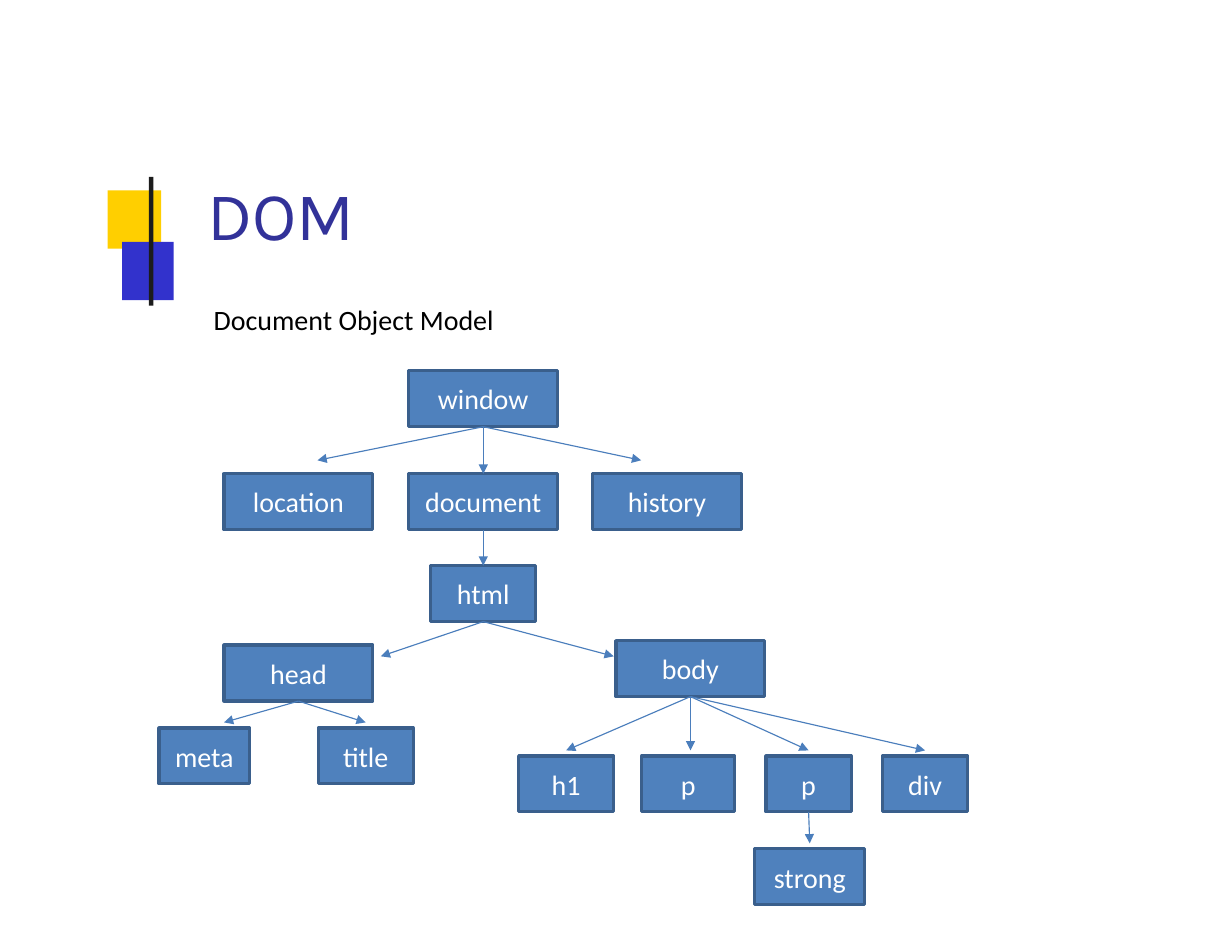
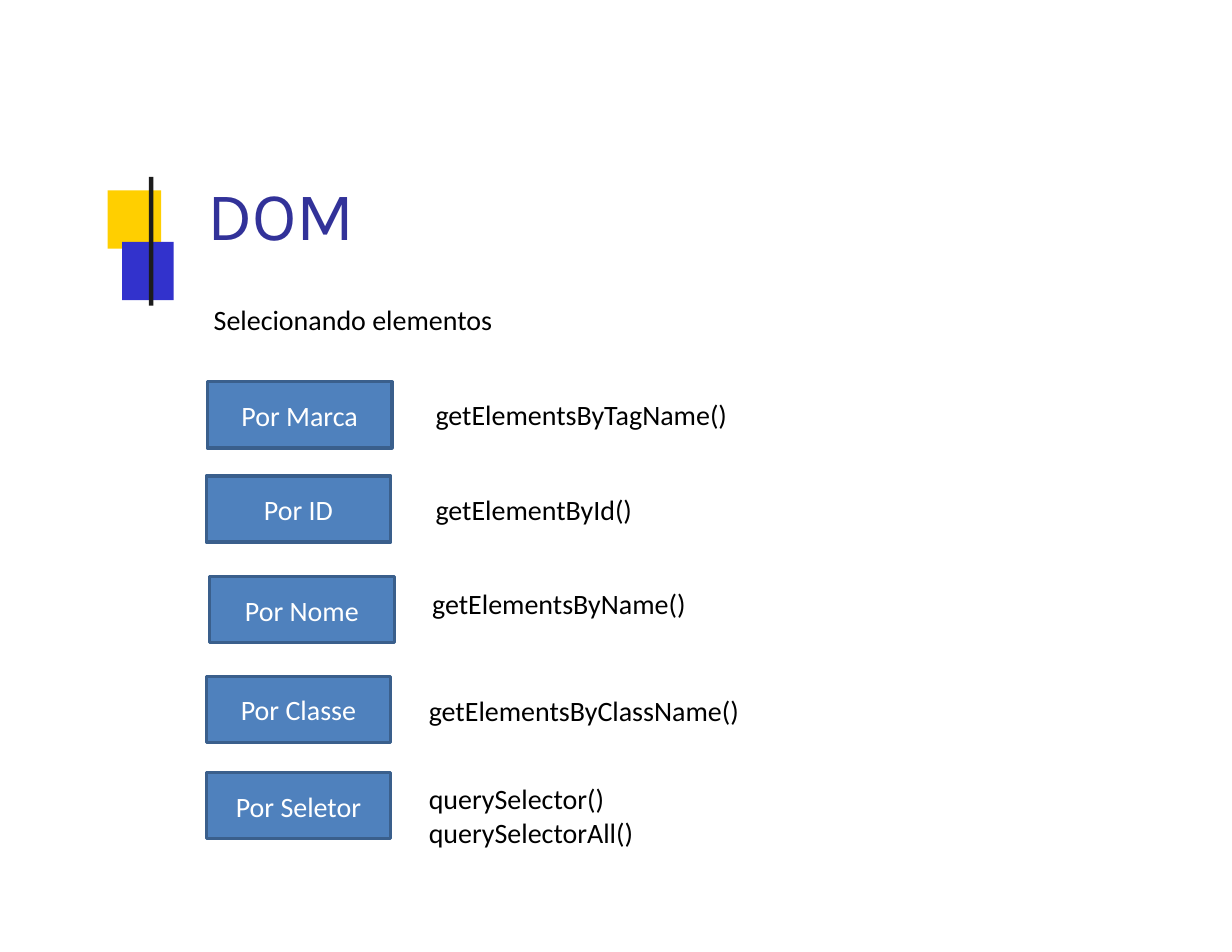
"""Two slides on the DOM: its tree, and the ways to select elements."""
from lxml import etree
from pptx import Presentation, util as u
from pptx.dml.color import RGBColor
from pptx.enum import shapes as kinds, text as tx
from pptx.oxml.ns import qn

COLS, ROWS = 110, 85          # grid of the slide
WIDE, HIGH = u.Inches(11), u.Inches(8.5)

THEME = {
    "gold": "FFCF00", "blue": "3232CC", "ink": "1C1C1C",
    "node": "4F81BD", "edge": "3A5F8C", "arrow": "4B7EBC",
    "head": {"name": "Karla", "size": 44, "color": "323299"},
    "label": {"name": "Calibri", "size": 18, "color": "FFFFFF"},
    "plain": {"name": "Calibri", "size": 18, "color": "000000"},
    "border": 2, "thin": 0.75,
}

# Boxes in grid units: left, top, width, height
EMBLEM = (9.6, 15.8, 5.9, 11.5)
TITLE = (18.5, 15.3, 76, 7.6)
INTRO = (18.1, 26.5, 63.3, 4)
TREE = (14.2, 33.1, 72.2, 47.7)
LIST = (18.4, 34.1, 70.8, 42.3)

# Tree nodes: key, label, centre, top, width, parent, arrow tip from top centre
NEAR, TOUCH = (0, -0.5), (0, 0)
NODES = [
    ("window", "window", 28.95, 0, 13.3, None, None),
    ("location", "location", 12.45, 9.2, 13.3, "window", (1.7, -1.2)),
    ("document", "document", 28.95, 9.2, 13.3, "window", TOUCH),
    ("history", "history", 45.35, 9.2, 13.3, "window", (-2.3, -1.2)),
    ("html", "html", 28.95, 17.4, 9.4, "document", TOUCH),
    ("head", "head", 12.45, 24.5, 13.3, "html", (7.35, 1)),
    ("body", "body", 47.45, 24.1, 13.3, "html", (-6.85, 1.4)),
    ("meta", "meta", 4.05, 31.9, 8.1, "head", (1.75, -0.5)),
    ("title", "title", 18.45, 31.9, 8.5, "head", NEAR),
    ("h1", "h1", 36.35, 34.4, 8.5, "body", NEAR),
    ("p1", "p", 47.25, 34.4, 8.3, "body", (0.2, -0.5)),
    ("p2", "p", 58, 34.4, 7.6, "body", NEAR),
    ("div", "div", 68.4, 34.4, 7.6, "body", NEAR),
    ("strong", "strong", 58.1, 42.7, 9.8, "p2", NEAR),
]
TALL = 5                      # height of a tree node

# Selector rows: label, label left, top, calls left, calls drop, calls width
CALLS = [
    ("Por Marca", 0.1, 0, 19.5, 0.9, 34.2, ["getElementsByTagName()"]),
    ("Por ID", 0, 8.4, 19.5, 1, 34.2, ["getElementById()"]),
    ("Por Nome", 0.3, 17.4, 19.2, 0.4, 34.2, ["getElementsByName()"]),
    ("Por Classe", 0, 26.3, 18.9, 1, 34.2, ["getElementsByClassName()"]),
    ("Por Seletor", 0, 34.9, 18.9, 0.3, 51.9,
     ["querySelector()", "querySelectorAll()"]),
]


def grid(x, y):
    """Turn columns and rows into slide lengths."""
    return round(x * WIDE / COLS), round(y * HIGH / ROWS)


def span(box):
    """Turn a grid box into left, top, width and height."""
    return grid(*box[:2]) + grid(*box[2:])


def rgb(name):
    """Look up a theme colour."""
    return RGBColor.from_string(THEME[name])


def put(item, **vals):
    """Set attributes from format values."""
    for key, val in vals.items():
        setattr(item, key, val)


def write(frame, lines, style, **para):
    """Write one paragraph a line in a theme text style."""
    form = THEME[style]
    frame.text = "\n".join(lines)
    for par in frame.paragraphs:
        put(par, **para)
        for run in par.runs:
            put(run.font, name=form["name"], size=u.Pt(form["size"]))
            run.font.color.rgb = RGBColor.from_string(form["color"])


def block(slide, box, fill, edge=None):
    """Add a flat rectangle, with a border if an edge colour is given."""
    rect = slide.shapes.add_shape(kinds.MSO_SHAPE.RECTANGLE, *span(box))
    rect.shadow.inherit = False
    rect.fill.solid()
    rect.fill.fore_color.rgb = rgb(fill)
    if edge:
        rect.line.color.rgb = rgb(edge)
        rect.line.width = u.Pt(THEME["border"])
    else:
        rect.line.fill.background()
    return rect


def node(slide, box, label):
    """Add a labelled blue box."""
    frame = block(slide, box, "node", "edge").text_frame
    put(frame, word_wrap=True, vertical_anchor=tx.MSO_ANCHOR.MIDDLE)
    write(frame, [label], "label", alignment=tx.PP_ALIGN.CENTER)


def note(slide, box, lines):
    """Add plain text that grows with its lines."""
    frame = slide.shapes.add_textbox(*span(box)).text_frame
    put(frame, word_wrap=True, auto_size=tx.MSO_AUTO_SIZE.SHAPE_TO_FIT_TEXT)
    write(frame, lines, "plain")


def arrow(slide, start, end):
    """Add a thin line with a triangle at its end."""
    line = slide.shapes.add_connector(
        kinds.MSO_CONNECTOR.STRAIGHT, *grid(*start), *grid(*end))
    put(line.line, width=u.Pt(THEME["thin"]))
    line.line.color.rgb = rgb("arrow")
    prop = line.element.spPr
    etree.SubElement(prop.find(qn("a:ln")), qn("a:tailEnd"), type="triangle")
    etree.SubElement(prop, qn("a:effectLst"))


def emblem(slide, layout, box):
    """Draw the two squares and the bar, then move them to the layout."""
    x, y, _, high = box
    parts = [
        block(slide, (x, y + 1.2, 4.8, 5.2), "gold"),
        block(slide, (x + 1.3, y + 5.8, 4.6, 5.2), "blue"),
        block(slide, (x + 3.7, y, 0.4, high), "ink"),
    ]
    for part in parts:
        layout.shapes.element.append(part.element)


def opening(slide, intro):
    """Fill the title placeholder and the line under it."""
    head = slide.shapes.title
    put(head, **dict(zip(("left", "top", "width", "height"), span(TITLE))))
    frame = head.text_frame
    put(frame, margin_left=0, margin_right=0, margin_bottom=0,
        margin_top=u.Inches(0.01), word_wrap=True,
        vertical_anchor=tx.MSO_ANCHOR.TOP,
        auto_size=tx.MSO_AUTO_SIZE.SHAPE_TO_FIT_TEXT)
    write(frame, ["DOM"], "head", alignment=tx.PP_ALIGN.LEFT,
          space_before=u.Pt(1))
    frame.paragraphs[0].runs[0].font._element.set("spc", "-10")
    note(slide, INTRO, [intro])


def tree(slide, box):
    """Draw the nodes, then an arrow from each parent to its child."""
    left, top = box[:2]
    spots = {}
    for key, label, mid, row, wide, _, _ in NODES:
        spots[key] = left + mid, top + row
        node(slide, (left + mid - wide / 2, top + row, wide, TALL), label)
    for key, _, _, _, _, above, tip in NODES:
        if above:
            (x, y), (px, py) = spots[key], spots[above]
            arrow(slide, (px, py + TALL), (x + tip[0], y + tip[1]))


def calls(slide, box):
    """List each way to select beside its function calls."""
    left, top = box[:2]
    for label, dx, row, col, drop, wide, lines in CALLS:
        node(slide, (left + dx, top + row, 16.5, 5.9), label)
        high = 0.9 + 3.1 * len(lines)
        note(slide, (left + col, top + row + drop, wide, high), lines)


def main():
    """Build and save the deck."""
    deck = Presentation()
    put(deck, slide_width=WIDE, slide_height=HIGH)
    layout = deck.slide_layouts[5]
    pages = [("Document Object Model", tree, TREE),
             ("Selecionando elementos", calls, LIST)]
    for num, (intro, draw, box) in enumerate(pages):
        slide = deck.slides.add_slide(layout)
        if num == 0:
            emblem(slide, layout, EMBLEM)
        opening(slide, intro)
        draw(slide, box)
    deck.save("out.pptx")


main()
